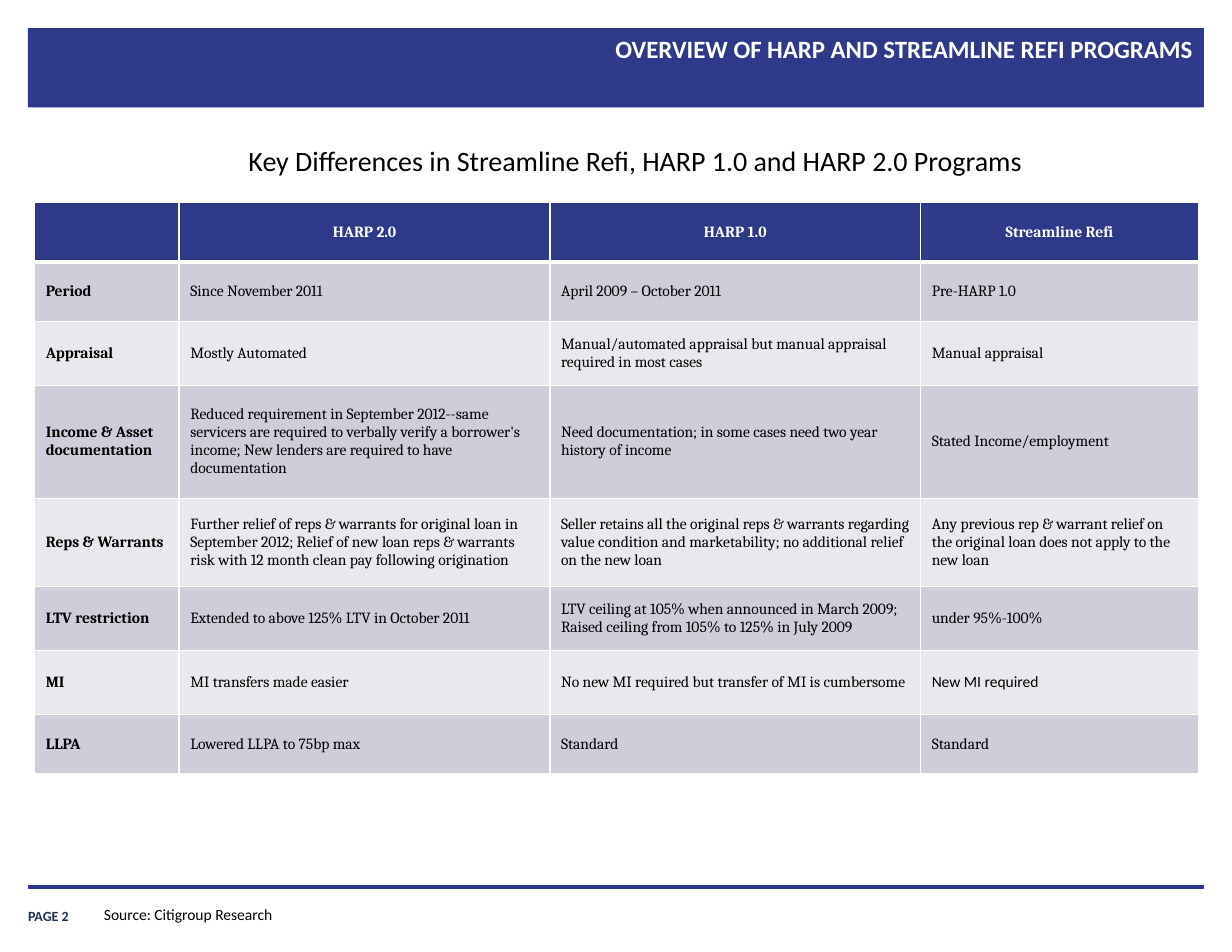
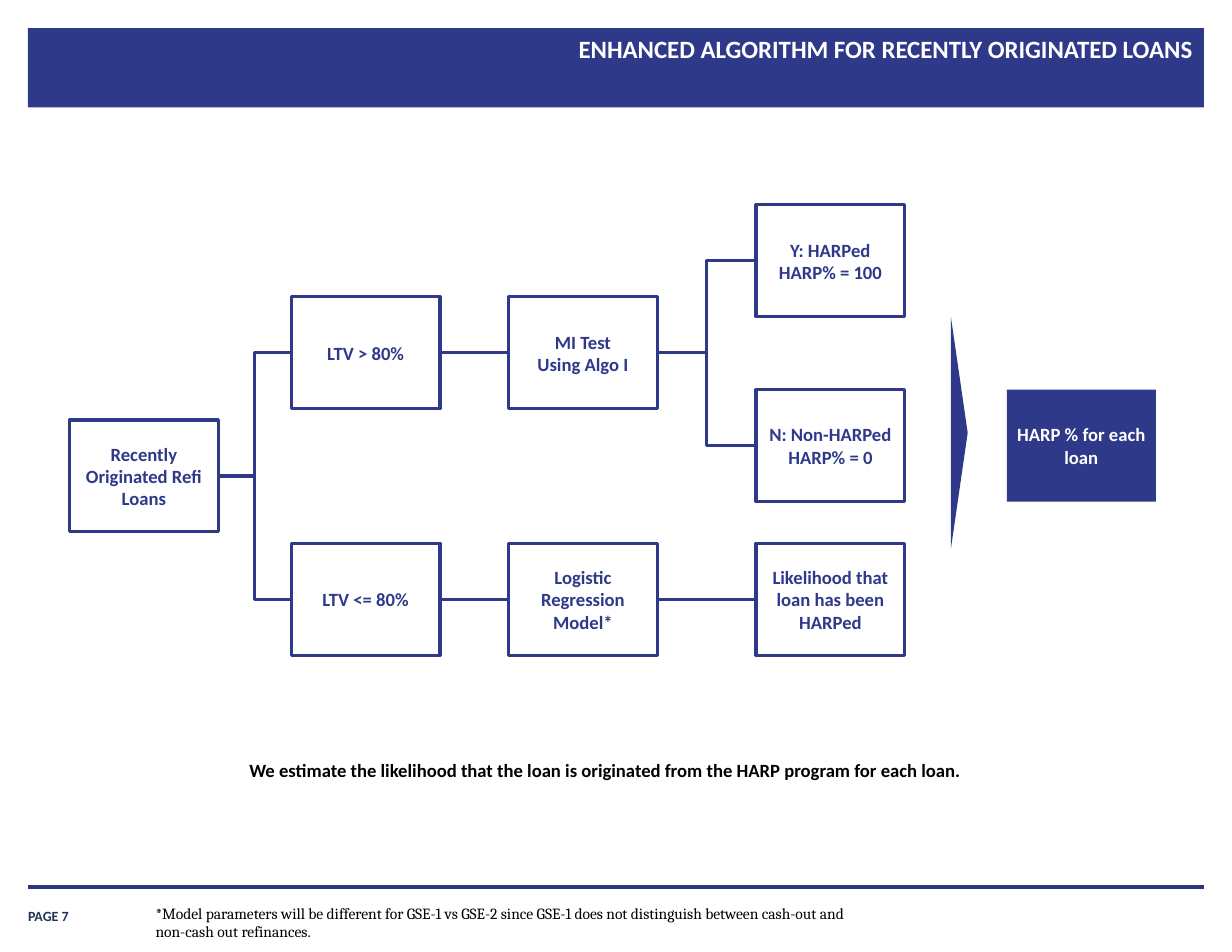
import pptx
import pptx.dml.color
import pptx.enum.shapes
import pptx.enum.text
import pptx.oxml
import pptx.oxml.ns
import pptx.util
from lxml import etree

Inches = pptx.util.Inches
Pt = pptx.util.Pt
Align = pptx.enum.text.PP_ALIGN
Anchor = pptx.enum.text.MSO_ANCHOR
Preset = pptx.enum.shapes.MSO_SHAPE
Connector = pptx.enum.shapes.MSO_CONNECTOR

NAVY = "2E398A"
RULE = "2B3689"
PAGE_INK = "203353"
WHITE = "FFFFFF"
BLACK = "000000"
ROW_FILLS = ("CDCEDA", "E8E8ED")
SANS = "Calibri"
SERIF = "Cambria"

PROGRAM_HEADER = ("", "HARP 2.0", "HARP 1.0", "Streamline Refi")
PROGRAM_ROWS = (
    ("Period", "Since November 2011", "April 2009 – October 2011", "Pre-HARP 1.0"),
    ("Appraisal", "Mostly Automated",
     "Manual/automated appraisal but manual appraisal required in most cases",
     "Manual appraisal"),
    ("Income & Asset\ndocumentation",
     "Reduced requirement in September 2012--same servicers are required to verbally "
     "verify a borrower's income; New lenders are required to have documentation",
     "Need documentation; in some cases need two year history of income",
     "Stated Income/employment"),
    ("Reps & Warrants",
     "Further relief of reps & warrants for original loan in September 2012; Relief of "
     "new loan reps & warrants risk with 12 month clean pay following origination",
     "Seller retains all the original reps & warrants regarding value condition and "
     "marketability; no additional relief on the new loan",
     "Any previous rep & warrant relief on the original loan does not apply to the new loan"),
    ("LTV restriction", "Extended to above 125% LTV in October 2011",
     "LTV ceiling at 105% when announced in March 2009;\n"
     "Raised ceiling from 105% to 125% in July 2009",
     "under 95%-100%"),
    ("MI", "MI transfers made easier",
     "No new MI required but transfer of MI is cumbersome", "New MI required"),
    ("LLPA", "Lowered LLPA to 75bp max", "Standard", "Standard"),
)
COLUMN_WIDTHS = (1.29, 3.31, 3.31, 2.48)
ROW_HEIGHTS = (0.53, 0.53, 0.57, 1.01, 0.79, 0.57, 0.57, 0.53)

NODE_WIDTH, NODE_HEIGHT = 1.33, 1
FLOW_NODES = {
    "loans": (0, 1.92, "Recently Originated Refi Loans"),
    "high_ltv": (1.98, 0.82, "LTV > 80%"),
    "low_ltv": (1.98, 3.02, "LTV <= 80%"),
    "mi_test": (3.92, 0.82, "MI Test\nUsing Algo I"),
    "regression": (3.92, 3.02, "Logistic Regression Model*"),
    "harped": (6.13, 0, "Y: HARPed\nHARP% = 100"),
    "not_harped": (6.13, 1.65, "N: Non-HARPed\nHARP% = 0"),
    "likelihood": (6.13, 3.02, "Likelihood that loan has been HARPed"),
}
FLOW_LINKS = (
    ("loans", "high_ltv"), ("loans", "low_ltv"),
    ("high_ltv", "mi_test"), ("low_ltv", "regression"),
    ("mi_test", "harped"), ("mi_test", "not_harped"),
    ("regression", "likelihood"),
)


def color(value):
    return pptx.dml.color.RGBColor.from_string(value)


def inches(box):
    return [Inches(value) for value in box]


def format_text(frame, size, ink, font=SANS, bold=False, align=Align.LEFT):
    for paragraph in frame.paragraphs:
        paragraph.alignment = align
        for run in paragraph.runs:
            run.font.size = Pt(size)
            run.font.name = font
            run.font.bold = bold
            run.font.color.rgb = color(ink)


def set_margins(frame, horizontal, vertical):
    frame.margin_left = frame.margin_right = Inches(horizontal)
    frame.margin_top = frame.margin_bottom = Inches(vertical)


def add_text(slide, box, text, size, ink, font=SANS, bold=False):
    frame = slide.shapes.add_textbox(*inches(box)).text_frame
    frame.word_wrap = True
    frame.text = text
    format_text(frame, size, ink, font, bold)
    return frame


def add_block(slide, box, fill, line=None, preset=Preset.RECTANGLE):
    shape = slide.shapes.add_shape(preset, *inches(box))
    shape.shadow.inherit = False
    shape.fill.solid()
    shape.fill.fore_color.rgb = color(fill)
    if line:
        shape.line.color.rgb = color(line)
        shape.line.width = Pt(2)
    else:
        shape.line.fill.background()
    return shape


def add_label_block(slide, box, text, fill, line, ink):
    shape = add_block(slide, box, fill, line)
    frame = shape.text_frame
    frame.word_wrap = True
    frame.vertical_anchor = Anchor.MIDDLE
    set_margins(frame, 0.04, 0.04)
    frame.text = text
    format_text(frame, 12, ink, bold=True, align=Align.CENTER)
    return shape


def add_line(slide, kind, start, end, ink):
    connector = slide.shapes.add_connector(kind, *inches(start + end))
    connector.line.color.rgb = color(ink)
    connector.line.width = Pt(2)
    etree.SubElement(connector.element.spPr, pptx.oxml.ns.qn("a:effectLst"))
    return connector


def add_page(presentation, title_text, page_number):
    slide = presentation.slides.add_slide(presentation.slide_layouts[5])
    add_block(slide, (0.25, 0.25, 10.5, 0.71), NAVY)
    title = slide.shapes.title
    title.element.getparent().append(title.element)
    title.left, title.top, title.width, title.height = inches((3.32, 0.24, 7.44, 0.74))
    frame = title.text_frame
    frame.auto_size = pptx.enum.text.MSO_AUTO_SIZE.NONE
    frame.vertical_anchor = Anchor.TOP
    set_margins(frame, 0.11, 0.06)
    frame.text = title_text
    format_text(frame, 16, WHITE, bold=True, align=Align.RIGHT)
    add_line(slide, Connector.STRAIGHT, (0.25, 7.92), (10.75, 7.92), RULE)
    page_frame = add_text(slide, (0.25, 8.02, 0.91, 0.23), f"PAGE {page_number}",
                          9, PAGE_INK, bold=True)
    page_frame.vertical_anchor = Anchor.BOTTOM
    set_margins(page_frame, 0, 0)
    return slide


def border_cell(cell, widths):
    properties = cell._tc.get_or_add_tcPr()
    for index, (side, width) in enumerate(zip("LRTB", widths)):
        properties.insert(index, pptx.oxml.parse_xml(
            f'<a:ln{side} {pptx.oxml.ns.nsdecls("a")} w="{Pt(width)}"><a:solidFill>'
            f'<a:srgbClr val="{WHITE}"/></a:solidFill></a:ln{side}>'))


def add_program_table(slide, left, top):
    rows = (PROGRAM_HEADER,) + PROGRAM_ROWS
    box = (left, top, sum(COLUMN_WIDTHS), sum(ROW_HEIGHTS))
    table = slide.shapes.add_table(len(rows), len(COLUMN_WIDTHS), *inches(box)).table
    table.horz_banding = False
    for column, width in zip(table.columns, COLUMN_WIDTHS):
        column.width = Inches(width)
    for row, height in zip(table.rows, ROW_HEIGHTS):
        row.height = Inches(height)
    for row_index, texts in enumerate(rows):
        header = row_index == 0
        fill = NAVY if header else ROW_FILLS[(row_index - 1) % 2]
        for column_index, text in enumerate(texts):
            cell = table.cell(row_index, column_index)
            cell.fill.solid()
            cell.fill.fore_color.rgb = color(fill)
            cell.vertical_anchor = Anchor.MIDDLE
            cell.text_frame.text = text
            format_text(cell.text_frame, 10, WHITE if header else BLACK,
                        SANS if text == "New MI required" else SERIF,
                        header or column_index == 0,
                        Align.CENTER if header else Align.LEFT)
            border_cell(cell, (1, 1, 3 if row_index == 1 else 1, 3 if header else 1))


def link_nodes(slide, source, target):
    kind = Connector.STRAIGHT if source.top == target.top else Connector.ELBOW
    connector = add_line(slide, kind, (0, 0), (1, 1), NAVY)
    connector.begin_connect(source, 3)
    connector.end_connect(target, 1)


def add_loan_flow(slide, left, top):
    nodes = {}
    for name, (x, y, text) in FLOW_NODES.items():
        box = (left + x, top + y, NODE_WIDTH, NODE_HEIGHT)
        nodes[name] = add_label_block(slide, box, text, WHITE, NAVY, NAVY)
    for source, target in FLOW_LINKS:
        link_nodes(slide, nodes[source], nodes[target])
    pointer = add_block(slide, (left + 6.91, top + 1.96, 2.07, 0.15), NAVY,
                        preset=Preset.ISOSCELES_TRIANGLE)
    pointer.rotation = 90
    add_label_block(slide, (left + 8.37, top + 1.65, NODE_WIDTH, NODE_HEIGHT),
                    "HARP % for each loan", NAVY, None, WHITE)


def build_program_slide(presentation):
    slide = add_page(presentation, "OVERVIEW OF HARP AND STREAMLINE REFI PROGRAMS", 2)
    add_text(slide, (2.12, 1.23, 7.42, 0.4),
             "Key Differences in Streamline Refi, HARP 1.0 and HARP 2.0 Programs", 18, BLACK)
    add_program_table(slide, 0.31, 1.81)
    add_text(slide, (0.83, 8.03, 4.33, 0.27), "Source: Citigroup Research", 10, BLACK)


def build_algorithm_slide(presentation):
    slide = add_page(presentation, "ENHANCED ALGORITHM FOR RECENTLY ORIGINATED LOANS", 7)
    add_loan_flow(slide, 0.62, 1.83)
    add_label_block(slide, (1.03, 6.38, 8.75, 1),
                    "We estimate the likelihood that the loan is originated from the "
                    "HARP program for each loan.", WHITE, WHITE, BLACK)
    add_text(slide, (1.29, 8.02, 6.59, 0.44),
             "*Model parameters will be different for GSE1 vs GSE-2 since GSE1 does not "
             "distinguish between cash-out and non-cash out refinances.".replace("GSE1", "GSE-1"),
             10, BLACK, SERIF)


def main():
    presentation = pptx.Presentation()
    presentation.slide_width = Inches(11)
    presentation.slide_height = Inches(8.5)
    build_program_slide(presentation)
    build_algorithm_slide(presentation)
    presentation.save("out.pptx")


if __name__ == "__main__":
    main()
